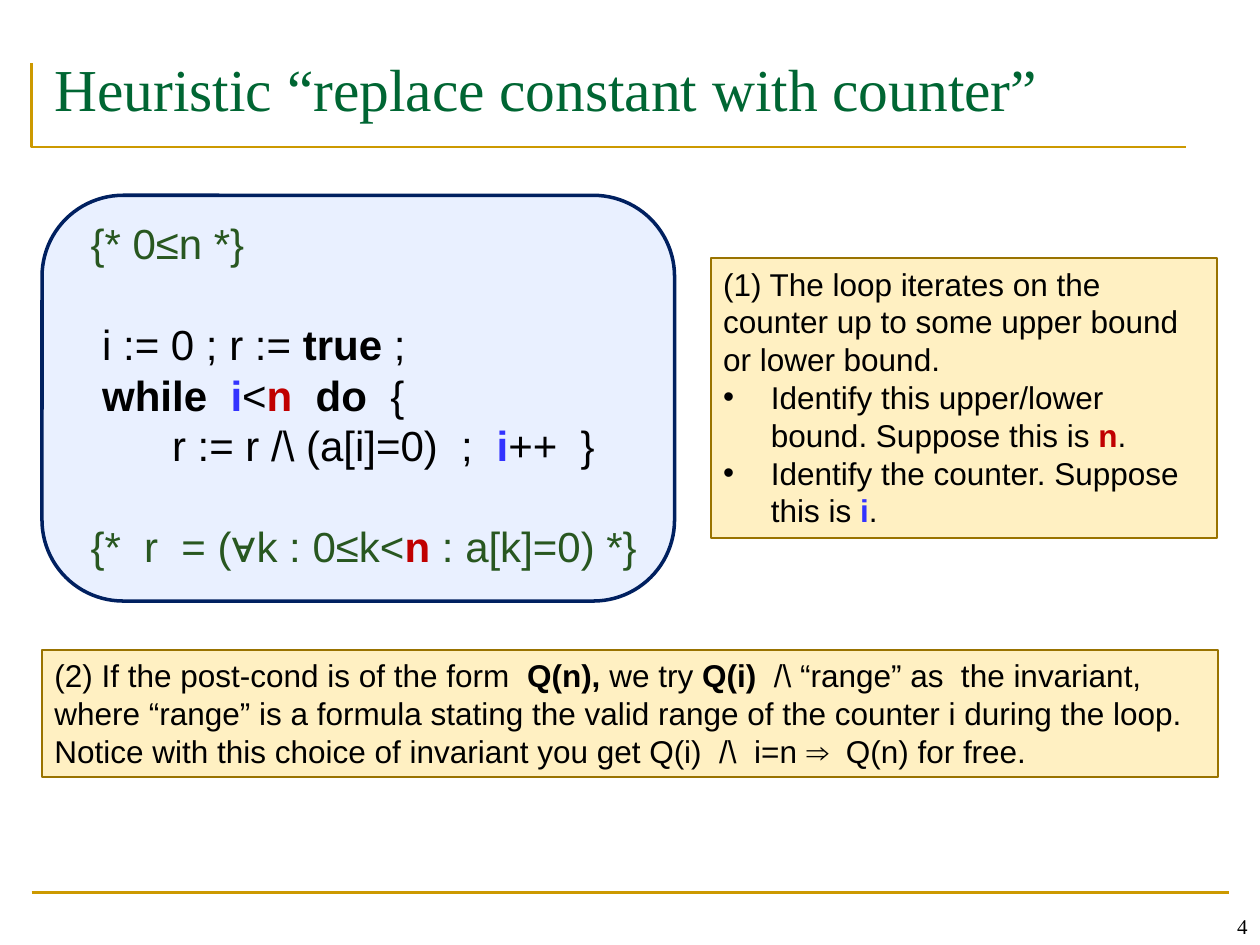
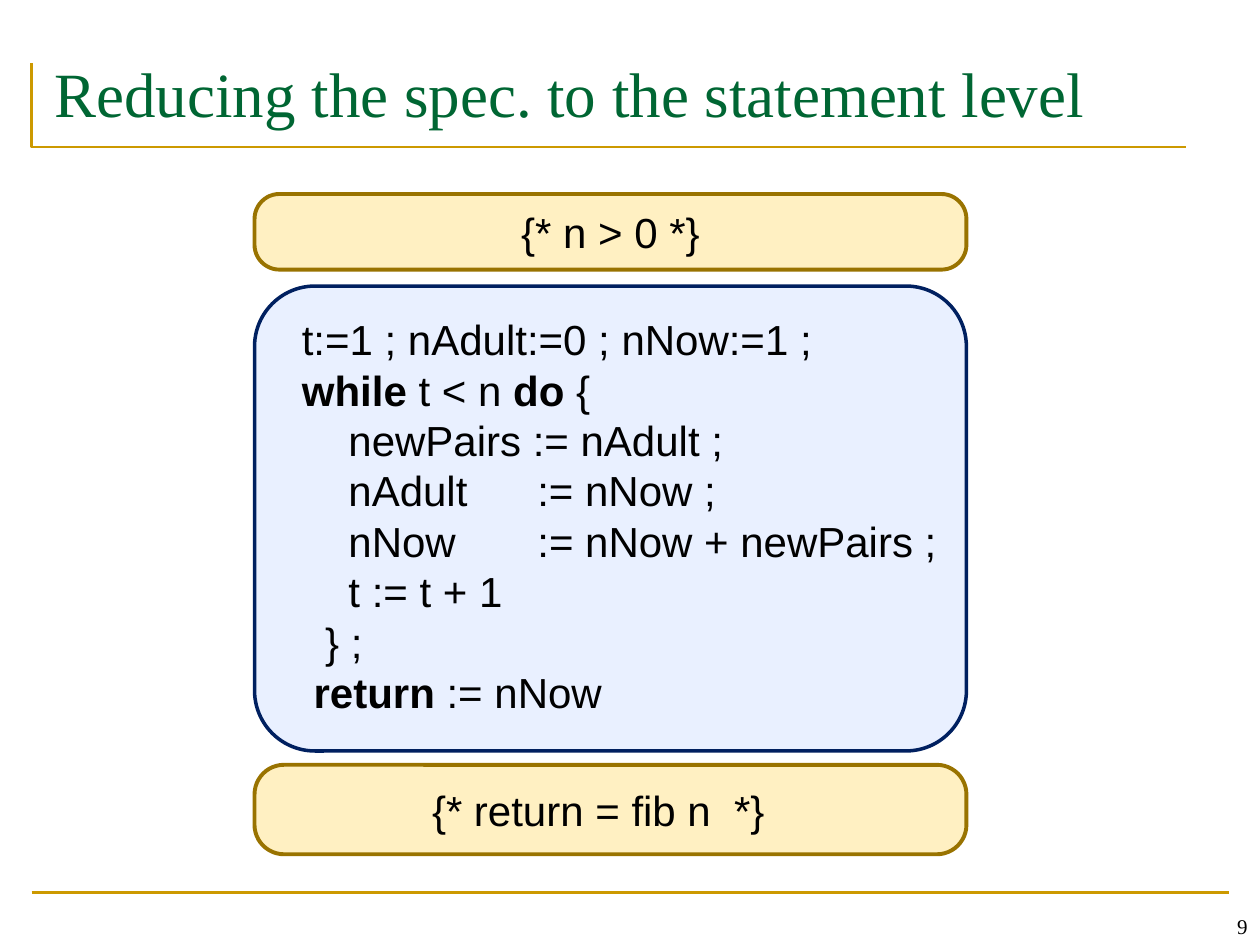
from dataclasses import dataclass

from lxml import etree
from pptx import Presentation
from pptx import util as u
from pptx.dml.color import RGBColor
from pptx.enum import shapes, text
from pptx.oxml import ns


@dataclass(frozen=True)
class Theme:
    serif: str = "Times New Roman"
    sans: str = "Arial"
    ink: str = "000000"
    heading: str = "006633"
    rule: str = "CC9900"
    panel: str = "6699FF"
    panel_edge: str = "002060"
    note: str = "FFF0C2"
    note_edge: str = "997300"
    assertion: str = "285720"
    counter: str = "3333FF"
    bound: str = "C00000"
    code_size: int = 24
    note_size: int = 18
    number_size: int = 12
    leading: float = 1.2
    panel_alpha: int = 14


THEME = Theme()
COLUMNS, ROWS = 30, 22.5
KEYWORD = dict(bold=True)
ASSERTION = dict(color=THEME.assertion)
COUNTER = dict(color=THEME.counter, bold=True)
BOUND = dict(color=THEME.bound, bold=True)


def write(paragraph, words, size=THEME.code_size, font=THEME.sans, color=THEME.ink, bold=False):
    run = paragraph.add_run()
    run.text = words
    run.font.size = u.Pt(size)
    run.font.name = font
    run.font.bold = bold
    run.font.color.rgb = RGBColor.from_string(color)


class Deck:
    def __init__(self, theme):
        self.theme = theme
        self.file = Presentation()
        self.file.slide_width = u.Inches(10)
        self.file.slide_height = u.Inches(7.5)
        self.slide = None

    def x(self, column):
        return round(self.file.slide_width * column / COLUMNS)

    def y(self, row):
        return round(self.file.slide_height * row / ROWS)

    def area(self, column, row, width, height):
        return self.x(column), self.y(row), self.x(width), self.y(height)

    def outline(self, part, color, width):
        part.line.color.rgb = RGBColor.from_string(color)
        part.line.width = u.Pt(width)

    def new_slide(self, heading, number, size, area):
        self.slide = self.file.slides.add_slide(self.file.slide_layouts[5])
        self.bracket()
        self.footer_rule()
        self.title(heading, size, area)
        self.text_box([str(number)], (23, 21, 7, 1.5), size=self.theme.number_size,
                      font=self.theme.serif, align=text.PP_ALIGN.RIGHT,
                      anchor=text.MSO_ANCHOR.BOTTOM)

    def bracket(self):
        builder = self.slide.shapes.build_freeform(self.x(0.75), self.y(1.5))
        builder.add_line_segments([(self.x(0.75), self.y(3.5)), (self.x(28.25), self.y(3.5))],
                                  close=False)
        corner = builder.convert_to_shape()
        corner.shadow.inherit = False
        corner.fill.background()
        self.outline(corner, self.theme.rule, 1.5)

    def footer_rule(self):
        rule = self.slide.shapes.add_connector(
            shapes.MSO_CONNECTOR.STRAIGHT, self.x(0.75), self.y(21.25), self.x(29.25), self.y(21.25))
        self.outline(rule, self.theme.rule, 1.5)
        etree.SubElement(rule.line._get_or_add_ln().getparent(), ns.qn("a:effectLst"))

    def title(self, heading, size, area):
        holder = self.slide.shapes.title
        holder.left, holder.top, holder.width, holder.height = self.area(*area)
        frame = holder.text_frame
        frame.auto_size = text.MSO_AUTO_SIZE.NONE
        frame.vertical_anchor = text.MSO_ANCHOR.TOP
        frame.margin_top = u.Inches(0.11)
        frame.paragraphs[0].alignment = text.PP_ALIGN.LEFT
        write(frame.paragraphs[0], heading, size=size, font=self.theme.serif,
              color=self.theme.heading)

    def fill_text(self, frame, lines, size, font=THEME.sans, align=text.PP_ALIGN.LEFT,
                  anchor=text.MSO_ANCHOR.TOP, wrap=True, gaps=(), bullets=()):
        frame.word_wrap = wrap
        frame.vertical_anchor = anchor
        for index, line in enumerate(lines):
            paragraph = frame.paragraphs[0] if index == 0 else frame.add_paragraph()
            if index in bullets:
                self.bullet(paragraph)
            paragraph.alignment = align
            paragraph.line_spacing = u.Pt(size * self.theme.leading)
            if index in gaps:
                paragraph.space_before = u.Pt(size * self.theme.leading)
            for part in [line] if isinstance(line, str) else line:
                words, style = (part, {}) if isinstance(part, str) else part
                write(paragraph, words, size=size, font=font, **style)

    def bullet(self, paragraph):
        properties = paragraph._p.get_or_add_pPr()
        properties.set("marL", str(u.Inches(0.38)))
        properties.set("indent", str(-u.Inches(0.38)))
        etree.SubElement(properties, ns.qn("a:buFont"), typeface=self.theme.sans)
        etree.SubElement(properties, ns.qn("a:buChar"), char="•")

    def text_box(self, lines, area, **layout):
        box = self.slide.shapes.add_textbox(*self.area(*area))
        self.fill_text(box.text_frame, lines, **layout)

    def block(self, kind, area, fill, edge, width, rounding=None):
        block = self.slide.shapes.add_shape(kind, *self.area(*area))
        block.shadow.inherit = False
        if rounding is not None:
            block.adjustments[0] = rounding
        block.fill.solid()
        block.fill.fore_color.rgb = RGBColor.from_string(fill)
        self.outline(block, edge, width)
        return block

    def code_panel(self, area, rounding):
        panel = self.block(shapes.MSO_SHAPE.ROUNDED_RECTANGLE, area, self.theme.panel,
                           self.theme.panel_edge, 2, rounding)
        tint = panel._element.spPr.find(ns.qn("a:solidFill"))[0]
        etree.SubElement(tint, ns.qn("a:alpha"), val=str(self.theme.panel_alpha * 1000))

    def note(self, lines, area, bullets=()):
        note = self.block(shapes.MSO_SHAPE.RECTANGLE, area, self.theme.note,
                          self.theme.note_edge, 1)
        self.fill_text(note.text_frame, lines, size=self.theme.note_size, bullets=bullets)

    def condition(self, words, area, right_margin=0.1):
        condition = self.block(shapes.MSO_SHAPE.ROUNDED_RECTANGLE, area, self.theme.note,
                               self.theme.note_edge, 2.25, 0.33)
        condition.text_frame.margin_right = u.Inches(right_margin)
        self.fill_text(condition.text_frame, [words], size=self.theme.code_size,
                       align=text.PP_ALIGN.CENTER, anchor=text.MSO_ANCHOR.MIDDLE, wrap=False)


def heuristic_slide(deck):
    deck.new_slide("Heuristic “replace constant with counter”", 4, 34, (1, 0.9, 28, 2.6))
    deck.code_panel((1, 4.65, 15.06, 9.66), 0.2)
    loop = [
        [("{* 0≤n *}", ASSERTION)],
        [" i := 0 ; r := ", ("true", KEYWORD), " ;"],
        [(" while  ", KEYWORD), ("i", COUNTER), "<", ("n  ", BOUND), ("do", KEYWORD), "  {"],
        [r"       r := r /\ (a[i]=0)  ;  ", ("i", COUNTER), "++  }"],
        [("{*  r  = (∀k : 0≤k<", ASSERTION), ("n", BOUND), (" : a[k]=0) *}", ASSERTION)],
    ]
    deck.text_box(loop, (1.86, 5.04, 13.74, 8.79), size=THEME.code_size, wrap=False, gaps=(1, 4))
    deck.note([
        "(1) The loop iterates on the counter up to some upper bound or lower bound.",
        ["Identify this upper/lower bound. Suppose this is ", ("n", BOUND), "."],
        ["Identify the counter. Suppose this is ", ("i", COUNTER), "."],
    ], (16.92, 6.15, 12.06, 6.66), bullets=(1, 2))
    deck.note([[
        "(2) If the post-cond is of the form  ", ("Q(n), ", KEYWORD), "we try ", ("Q(i) ", KEYWORD),
        r" /\ “range” as  the invariant, where “range” is a formula stating the valid range of "
        r"the counter i during the loop. Notice with this choice of invariant you get "
        r"Q(i)  /\  i=n ⇒  Q(n) for free.",
    ]], (1, 15.48, 28, 3.03))


def statement_slide(deck):
    left, width = 6.06, 16.95
    deck.new_slide("Reducing the spec. to the statement level", 9, 36, (1, 0.96, 28, 3))
    deck.code_panel((left, 6.81, width, 11.07), 0.13)
    program = [
        "   t:=1 ; nAdult:=0 ; nNow:=1 ;",
        ["   ", ("while", KEYWORD), " t < n ", ("do ", KEYWORD), "{"],
        "       newPairs := nAdult ;",
        "       nAdult      := nNow ;",
        "       nNow       := nNow + newPairs ;",
        "       t := t + 1",
        "     } ;",
        ["    ", ("return", KEYWORD), " := nNow"],
    ]
    deck.text_box(program, (left, 7.32, width, 9.99), size=THEME.code_size)
    deck.condition("{* return = fib n  *}", (left, 18.21, width, 2.13), right_margin=0.29)
    deck.condition("{* n > 0 *}", (left, 4.62, width, 1.8))


def main():
    deck = Deck(THEME)
    heuristic_slide(deck)
    statement_slide(deck)
    deck.file.save("out.pptx")


if __name__ == "__main__":
    main()
